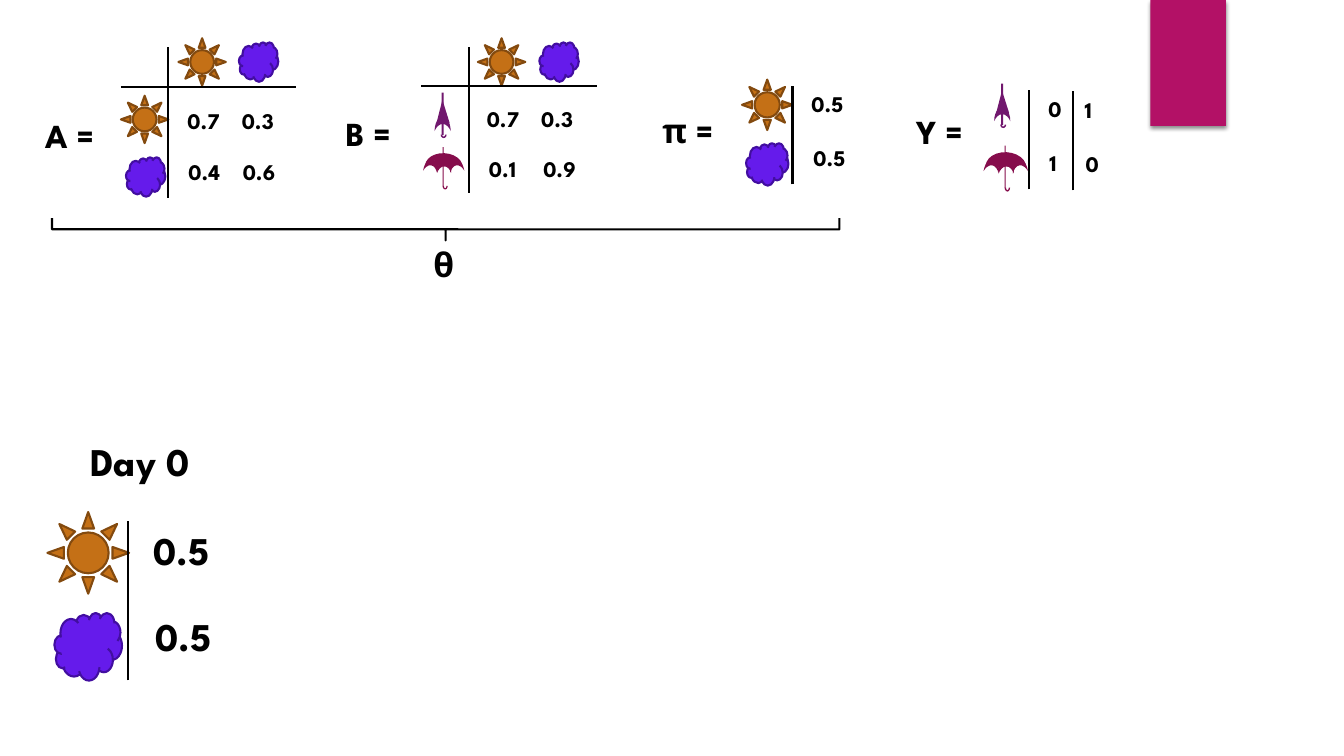
from lxml import etree
from pptx import Presentation
from pptx.dml.color import RGBColor
from pptx.enum.shapes import MSO_CONNECTOR, MSO_SHAPE
from pptx.enum.text import MSO_AUTO_SIZE
from pptx.oxml.ns import qn
from pptx.util import Emu, Pt

PX = 9144  # 100 px to the inch
FONT = "League Spartan"
BLACK = RGBColor(0x00, 0x00, 0x00)
MAGENTA = RGBColor(0xB3, 0x11, 0x66)
ORANGE = RGBColor(0xC4, 0x70, 0x16)
BROWN = RGBColor(0x83, 0x4A, 0x0F)
VIOLET = RGBColor(0x65, 0x1B, 0xEB)
INDIGO = RGBColor(0x42, 0x0E, 0xA0)
WINE = RGBColor(0x86, 0x0D, 0x4C)
PLUM = RGBColor(0x71, 0x18, 0x6E)

ARC = MSO_SHAPE.BLOCK_ARC
BRACE = MSO_SHAPE.RIGHT_BRACE
CLOUD = MSO_SHAPE.CLOUD
MOON = MSO_SHAPE.MOON
OVAL = MSO_SHAPE.OVAL
RECT = MSO_SHAPE.RECTANGLE
SUN = MSO_SHAPE.SUN
TRIANGLE = MSO_SHAPE.ISOSCELES_TRIANGLE
STRAIGHT = MSO_CONNECTOR.STRAIGHT
GROW = MSO_AUTO_SIZE.SHAPE_TO_FIT_TEXT


def draw(shapes, kind, box, fill=None, outline=None, turn=0, adjust=()):
    shape = shapes.add_shape(kind, *[Emu(v * PX) for v in box])
    shape.shadow.inherit = False
    shape.rotation = turn
    for i, value in enumerate(adjust):
        shape.adjustments[i] = value
    if fill is None:
        shape.fill.background()
    else:
        shape.fill.solid()
        shape.fill.fore_color.rgb = fill
    if outline is None:
        shape.line.fill.background()
    else:
        shape.line.color.rgb = outline
        shape.line.width = Pt(1.5)
    return shape


prs = Presentation()
prs.slide_width, prs.slide_height = Emu(1333 * PX), Emu(750 * PX)
slide = prs.slides.add_slide(prs.slide_layouts[6])
shapes = slide.shapes

# Corner tab with a soft shadow below it
tab = draw(shapes, RECT, (1141, 0, 75, 125), MAGENTA)
effects = tab._element.spPr.find(qn("a:effectLst"))
shadow = etree.SubElement(effects, qn("a:outerShdw"), blurRad=str(Pt(3)),
                          dist=str(Pt(2)), dir="5400000", rotWithShape="0")
shadow_color = etree.SubElement(shadow, qn("a:srgbClr"), val="000000")
etree.SubElement(shadow_color, qn("a:alpha"), val="45000")

# Weather states: left, top, size
for left, top, size in [(120, 95, 47), (177, 38, 47), (474, 38, 47),
                        (736, 79, 50), (47, 508, 81)]:
    draw(shapes, SUN, (left, top, size, size), ORANGE, BROWN)
for left, top, size in [(125, 156, 39), (237, 42, 39), (535, 42, 39),
                        (740, 142, 42), (54, 608, 67)]:
    draw(shapes, CLOUD, (left, top, size, size), VIOLET, INDIGO)

# Umbrella parts: kind, box, rotation, adjustments
open_parts = [
    (MOON, (421, 157, 13, 14), 98.6, ()),
    (MOON, (434, 158, 13, 14), 90, ()),
    (MOON, (446, 157, 13, 14), 80.6, ()),
    (MOON, (434, 140, 13, 37), 92.8, ()),
    (OVAL, (430, 157, 21, 8), 0, ()),
    (OVAL, (433, 158, 2, 11), 0, ()),
    (OVAL, (445, 160, 4, 8), 0, ()),
    (RECT, (439, 146, 1, 39), 0, ()),
    (ARC, (439, 181, 5, 7), 180, ()),
]
closed_parts = [
    (MOON, (432, 115, 14, 16), 90, ()),
    (RECT, (438, 92, 2, 42), 0, ()),
    (ARC, (437, 130, 6, 7), 180, ()),
    (TRIANGLE, (433, 99, 13, 23), 0, (0.449,)),
]
umbrellas = [
    (open_parts, WINE, (421, 140, 38, 48)),
    (closed_parts, PLUM, (432, 92, 14, 45)),
    (open_parts, WINE, (977, 138, 41, 52)),
    (closed_parts, PLUM, (987, 83, 14, 44)),
]
for parts, color, box in umbrellas:
    umbrella = shapes.add_group_shape()
    for kind, part_box, turn, adjust in parts:
        draw(umbrella.shapes, kind, part_box, color, turn=turn, adjust=adjust)
    umbrella.left, umbrella.top, umbrella.width, umbrella.height = [
        Emu(v * PX) for v in box]

# Table rules: x1, y1, x2, y2
for ends in [(120, 86, 294, 86), (167, 196, 167, 47),
             (418, 85, 592, 85), (465, 191, 465, 47),
             (786, 183, 786, 85), (1021, 188, 1021, 89),
             (1064, 189, 1064, 90), (127, 675, 127, 517)]:
    rule = shapes.add_connector(STRAIGHT, *[Emu(v * PX) for v in ends])
    rule.line.color.rgb = BLACK
    rule.line.width = Pt(1.5)
    etree.SubElement(rule._element.spPr, qn("a:effectLst"))

# Brace joining A, B and π
draw(shapes, BRACE, (431, -163, 22, 781), outline=BLACK, turn=90, adjust=(0, 0.5))

# Labels: text, left, top, width, height, font size
labels = [
    ("A =", 35, 109, 99, 50, 24),
    ("B =", 333, 107, 99, 50, 24),
    ("π =", 647, 104, 99, 50, 24),
    ("Y =", 899, 105, 99, 50, 24),
    ("θ", 420, 237, 99, 50, 24),
    ("Day 0", 80, 429, 174, 57, 28),
]
# Matrices: rows, left, top, (column dx, dy), (row dx, dy), cell size, font size
matrices = [
    (["0.7 0.3", "0.4 0.6"], 176, 101, (54, 0), (1, 51), (54, 23), 16),
    (["0.7 0.3", "0.1 0.9"], 473, 99, (54, 0), (2, 50), (54, 22), 16),
    (["0.5", "0.5"], 795, 85, (0, 0), (2, 53), (57, 24), 16),
    (["0 1", "1 0"], 1030, 89, (36, 1), (1, 54), (57, 37), 16),
    (["0.5", "0.5"], 142, 517, (0, 0), (2, 86), (92, 57), 28),
]
for rows, left, top, column, row, cell, size in matrices:
    for r, values in enumerate(rows):
        for c, value in enumerate(values.split()):
            labels.append((value, left + c * column[0] + r * row[0],
                           top + c * column[1] + r * row[1], *cell, size))

for text, left, top, width, height, size in labels:
    label = shapes.add_textbox(*[Emu(v * PX) for v in (left, top, width, height)])
    frame = label.text_frame
    frame.word_wrap = True
    frame.auto_size = GROW
    run = frame.paragraphs[0].add_run()
    run.text = text
    run.font.name = FONT
    run.font.size = Pt(size)
    run.font.bold = True
    run.font.color.rgb = BLACK

prs.save("out.pptx")
